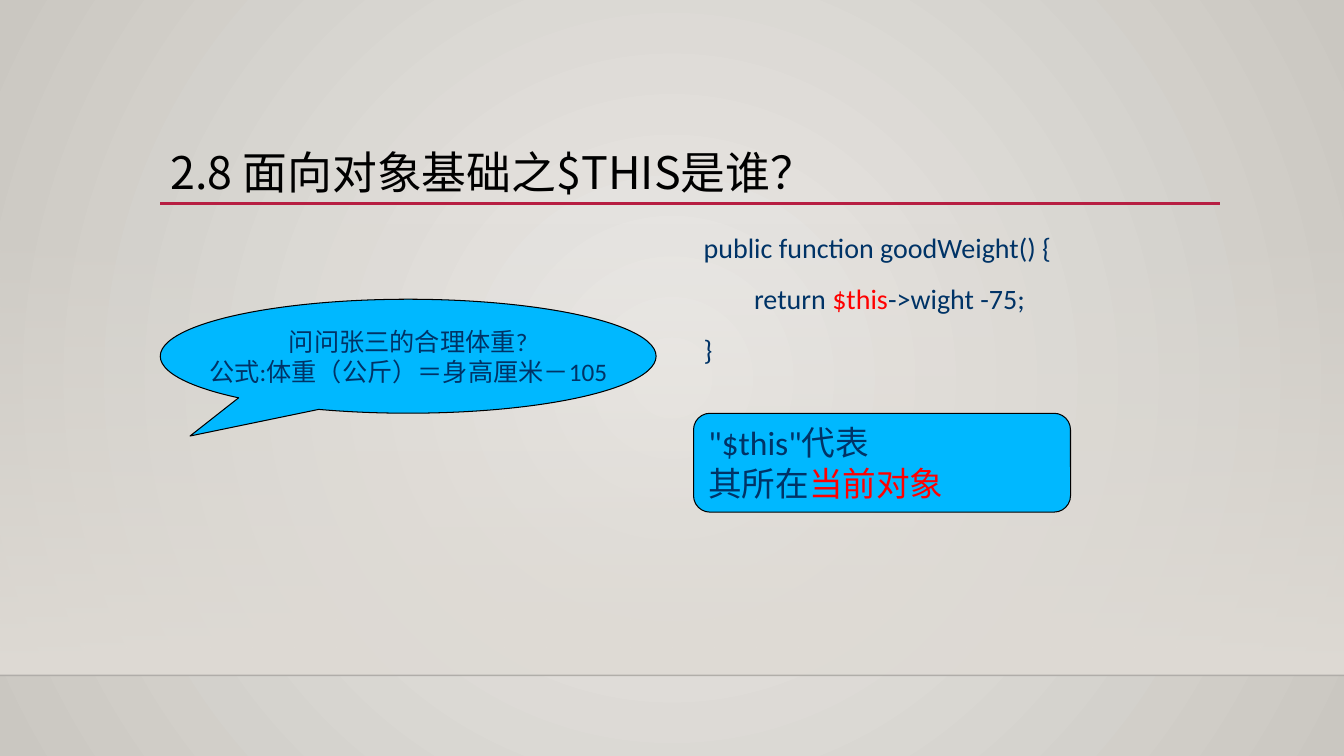
from dataclasses import dataclass
from typing import Any

from lxml import etree
from pptx import Presentation
from pptx.dml.color import RGBColor
from pptx.enum.shapes import MSO_CONNECTOR, MSO_SHAPE
from pptx.enum.text import MSO_ANCHOR, MSO_AUTO_SIZE, PP_ALIGN
from pptx.oxml.ns import qn
from pptx.util import Pt

LEFT, MID = PP_ALIGN.LEFT, PP_ALIGN.CENTER
TOP, CENTRE = MSO_ANCHOR.TOP, MSO_ANCHOR.MIDDLE
NO_FIT = MSO_AUTO_SIZE.NONE
STRAIGHT = MSO_CONNECTOR.STRAIGHT
RECT = MSO_SHAPE.RECTANGLE
BUBBLE = MSO_SHAPE.OVAL_CALLOUT
CARD = MSO_SHAPE.FLOWCHART_ALTERNATE_PROCESS


@dataclass(frozen=True)
class Theme:
    light: str = "ECEAE7"
    dark: str = "CAC7C1"
    floor: str = "DFDBD5"
    edge: str = "000001"
    rule: str = "B71E42"
    black: str = "000000"
    navy: str = "003366"
    red: str = "FF0000"
    sky: str = "00B8FF"
    latin: str = "Calibri"
    asian: str = "Noto Sans CJK SC"
    head: float = 32
    note: float = 24
    code: float = 20
    ask: float = 18


T = Theme()


@dataclass(frozen=True)
class Box:
    x: float
    y: float
    w: float
    h: float


@dataclass(frozen=True)
class Part:
    text: str
    color: str = T.navy


@dataclass(frozen=True)
class Text:
    lines: list[list[Part]]
    size: float
    font: str
    frame: dict[str, Any]
    para: dict[str, Any]


@dataclass(frozen=True)
class Rule:
    x1: float
    x2: float
    y: float
    color: str
    width: float
    alpha: int = 100


@dataclass(frozen=True)
class Callout:
    kind: Any
    box: Box
    text: Text
    tail: tuple[float, ...] = ()


def apply(item: Any, form: dict[str, Any]) -> None:
    for name, value in form.items():
        setattr(item, name, value)


def place(shape: Any, box: Box) -> None:
    apply(shape, {"left": Pt(box.x), "top": Pt(box.y),
                  "width": Pt(box.w), "height": Pt(box.h)})


def fade(color: Any, alpha: int) -> None:
    etree.SubElement(color, qn("a:alpha"), val=str(alpha * 1000))


def blend(fill: Any, first: str, last: str) -> None:
    fill.gradient()
    for stop, tone, spot in zip(fill.gradient_stops, (first, last), (0, 1)):
        stop.color.rgb = RGBColor.from_string(tone)
        stop.position = spot


def write(shape: Any, text: Text) -> None:
    frame = shape.text_frame
    apply(frame, text.frame)
    for i, line in enumerate(text.lines):
        para = frame.add_paragraph() if i else frame.paragraphs[0]
        apply(para, text.para)
        for part in line:
            run = para.add_run()
            run.text = part.text
            apply(run.font, {"size": Pt(text.size), "name": text.font, "bold": False})
            run.font.color.rgb = RGBColor.from_string(part.color)
            etree.SubElement(run.font._element, qn("a:ea"), typeface=T.asian)


def clear_marks(shape: Any) -> None:
    for para in shape.text_frame.paragraphs:
        form = para._p.get_or_add_pPr()
        form.set("marL", "0")
        form.set("indent", "0")
        etree.SubElement(form, qn("a:buNone"))


def draw_rule(slide: Any, rule: Rule) -> None:
    line = slide.shapes.add_connector(
        STRAIGHT, Pt(rule.x1), Pt(rule.y), Pt(rule.x2), Pt(rule.y))
    line.line.width = Pt(rule.width)
    line.line.color.rgb = RGBColor.from_string(rule.color)
    if rule.alpha < 100:
        fade(line.element.find(".//" + qn("a:srgbClr")), rule.alpha)
    etree.SubElement(line.element.spPr, qn("a:effectLst"))


def draw_shape(slide: Any, kind: Any, box: Box) -> Any:
    shape = slide.shapes.add_shape(kind, Pt(box.x), Pt(box.y), Pt(box.w), Pt(box.h))
    shape.shadow.inherit = False
    return shape


def draw_callout(slide: Any, call: Callout) -> None:
    shape = draw_shape(slide, call.kind, call.box)
    for i, value in enumerate(call.tail):
        shape.adjustments[i] = value
    shape.fill.solid()
    shape.fill.fore_color.rgb = RGBColor.from_string(T.sky)
    shape.line.width = Pt(0.75)
    shape.line.color.rgb = RGBColor.from_string(T.black)
    write(shape, call.text)


def draw_scene(slide: Any) -> None:
    blend(slide.background.fill, T.light, T.dark)
    grad = slide.element.find(".//" + qn("a:gradFill"))
    grad.remove(grad.find(qn("a:lin")))
    ring = etree.SubElement(grad, qn("a:path"), {"path": "circle"})
    etree.SubElement(ring, qn("a:fillToRect"),
                     dict.fromkeys("ltrb", "50000"))
    floor = draw_shape(slide, RECT, Box(0, 159, WIDE, 323.5))
    floor.line.fill.background()
    blend(floor.fill, T.floor, T.floor)
    floor.fill.gradient_angle = 270
    fade(floor.element.find(".//" + qn("a:srgbClr")), 0)


WIDE, HIGH = 960, 540
EDGE, COL = 114.5, 495.4

RULES = [
    Rule(0, WIDE, 482.4, T.edge, 1, 20),
    Rule(EDGE, 871.2, 145.4, T.rule, 2.5),
]
FIXED = {"word_wrap": True, "auto_size": NO_FIT}
LOOSE = {"word_wrap": False, "vertical_anchor": CENTRE}

TITLE = Text([[Part("2.8 面向对象基础之$THIS是谁？", T.black)]], T.head, T.asian,
             FIXED | {"vertical_anchor": CENTRE},
             {"alignment": LEFT, "line_spacing": 0.9})
CODE = Text([[Part("public function goodWeight() {")],
             [Part("\treturn "), Part("$this", T.red), Part("->wight -75;")],
             [Part("}")]], T.code, T.latin,
            FIXED | {"vertical_anchor": TOP},
            {"alignment": LEFT, "line_spacing": 1.1, "space_before": Pt(10)})
CALLS = [
    Callout(BUBBLE, Box(EDGE, 213.8, 354.2, 81.4),
            Text([[Part("问问张三的合理体重?")],
                  [Part("公式:体重（公斤）＝身高厘米－105")]],
                 T.ask, T.latin, LOOSE, {"alignment": MID}), (-0.44, 0.7)),
    Callout(CARD, Box(COL, 295.2, 269.3, 70.6),
            Text([[Part('"$this"代表')],
                  [Part("其所在"), Part("当前对象", T.red)]],
                 T.note, T.latin, LOOSE, {"alignment": LEFT})),
]


def main() -> None:
    deck = Presentation()
    apply(deck, {"slide_width": Pt(WIDE), "slide_height": Pt(HIGH)})
    slide = deck.slides.add_slide(deck.slide_layouts[1])
    title, body = slide.placeholders
    draw_scene(slide)
    for rule in RULES:
        draw_rule(slide, rule)
    tree = title.element.getparent()
    for shape, box, text in ((title, Box(EDGE, 103.7, 756, 42.5), TITLE),
                             (body, Box(COL, 158.4, 375.1, 110.2), CODE)):
        tree.append(shape.element)
        place(shape, box)
        write(shape, text)
    clear_marks(body)
    for call in CALLS:
        draw_callout(slide, call)
    deck.save("out.pptx")


if __name__ == "__main__":
    main()
